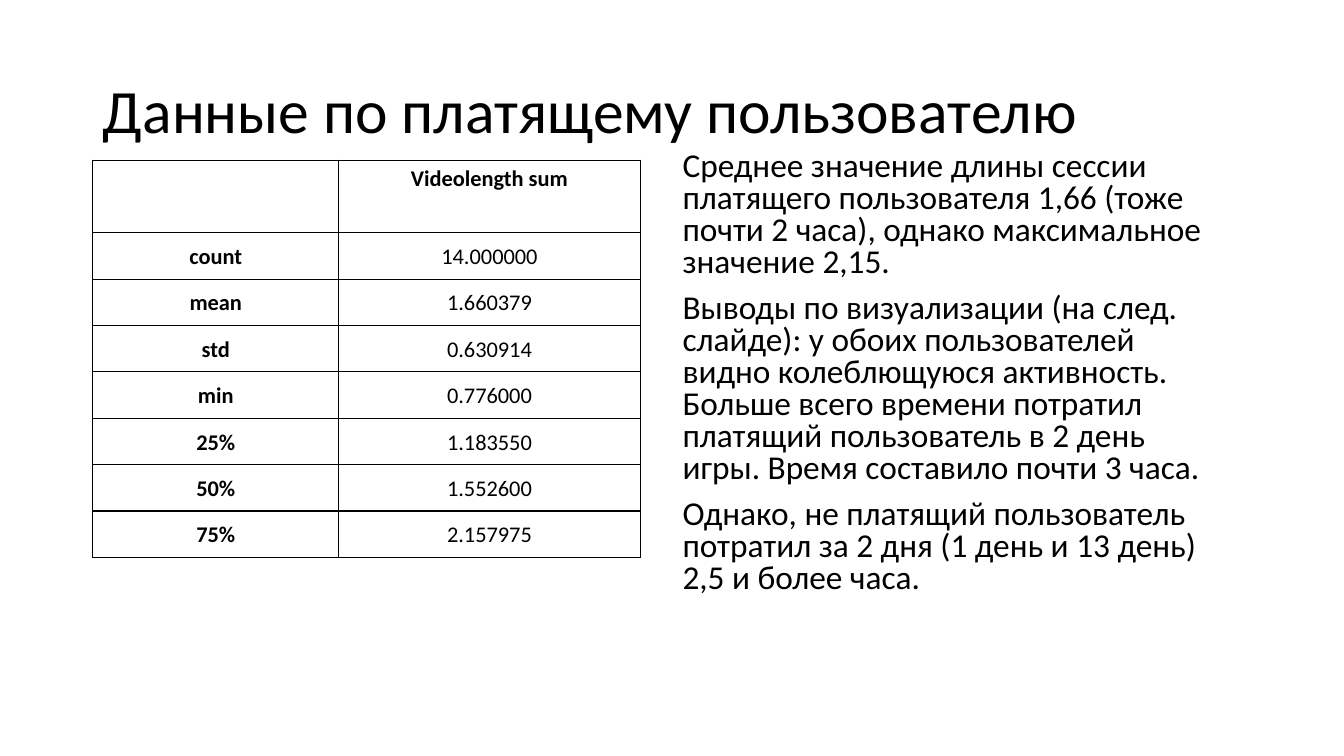
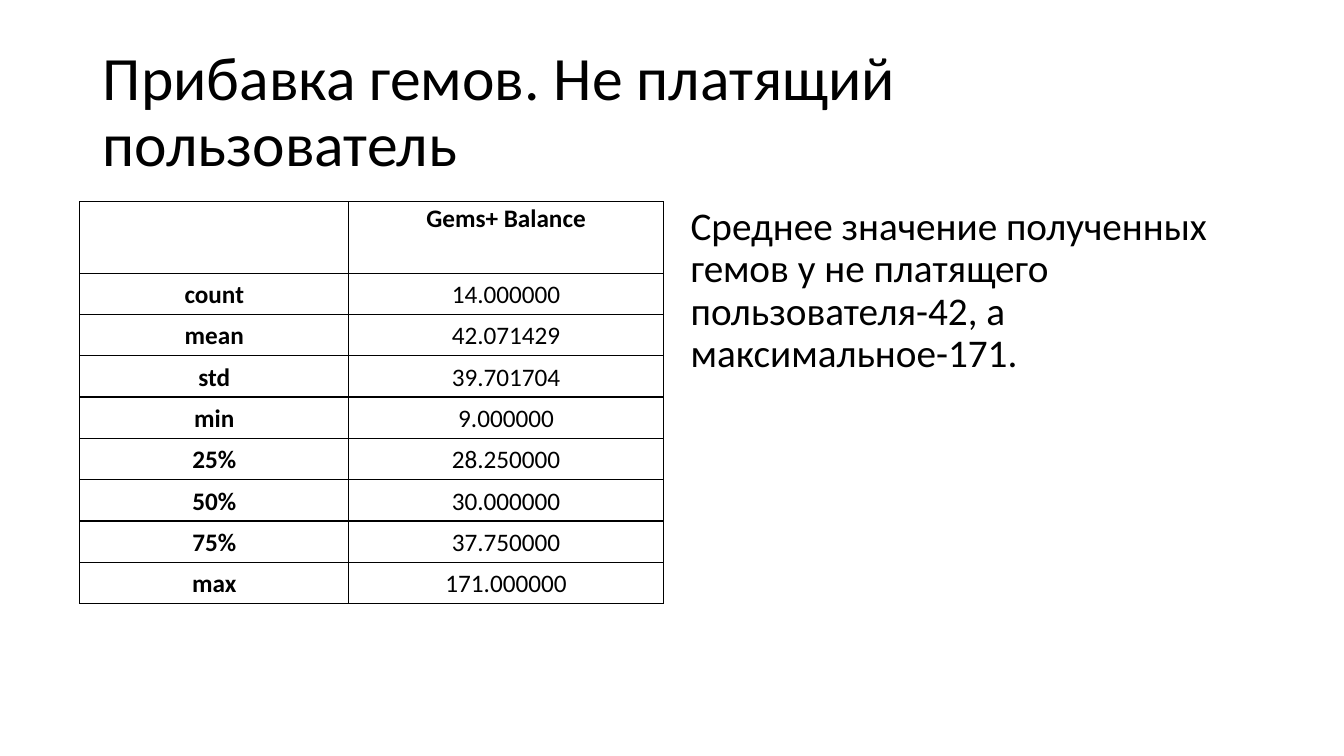
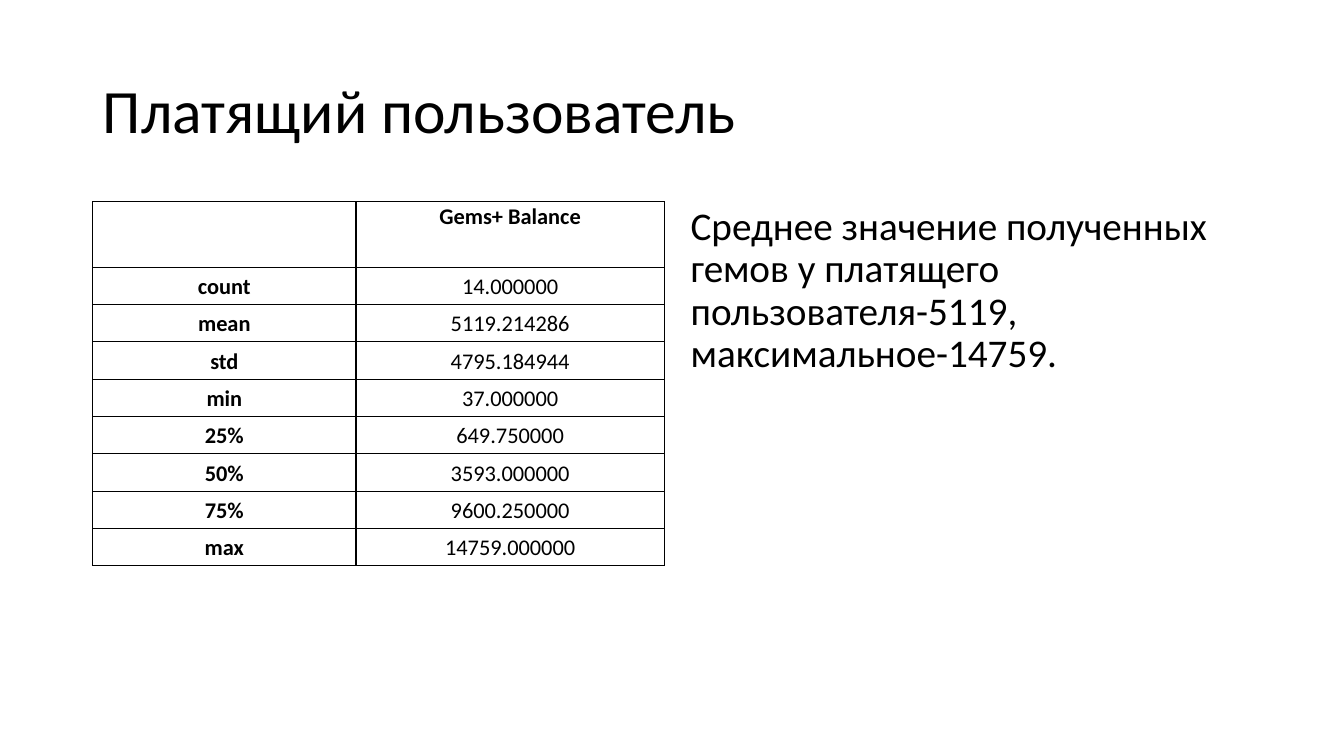
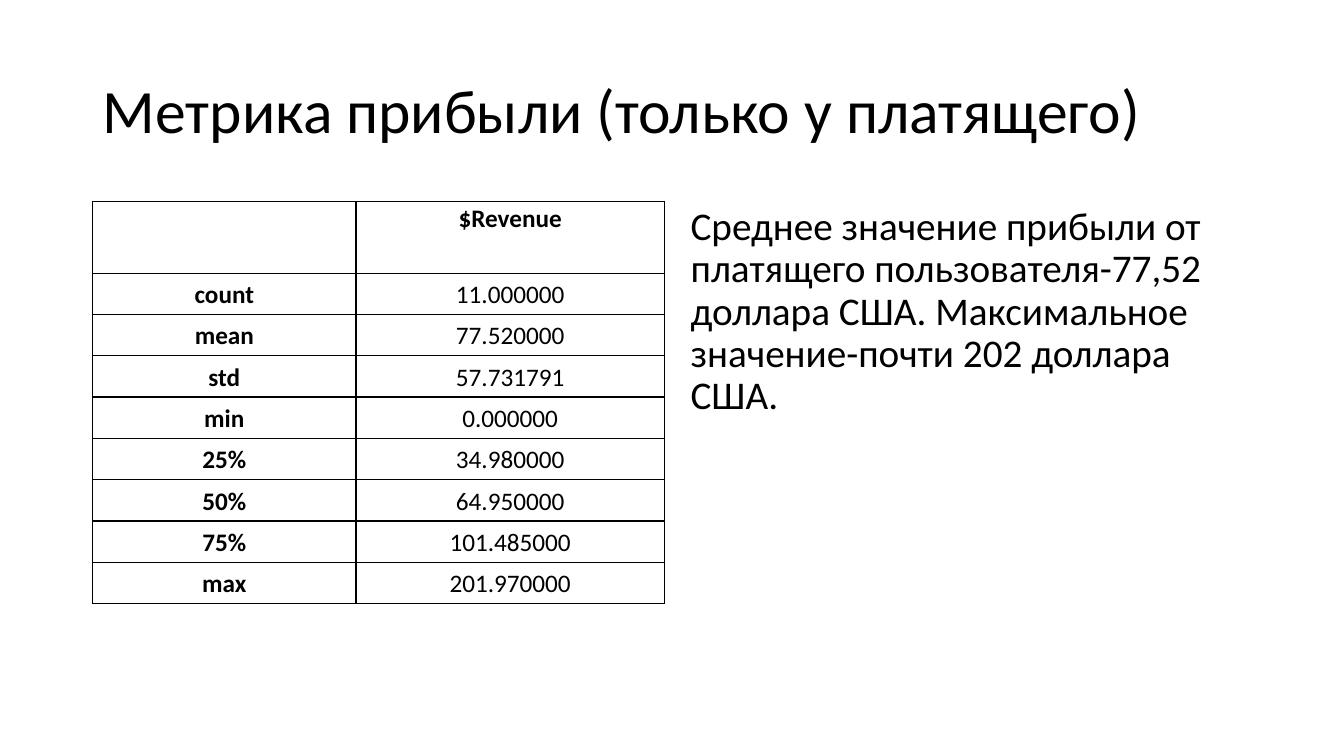
from dataclasses import dataclass

from lxml import etree
from pptx import Presentation
from pptx import util as u
from pptx.dml.color import RGBColor
from pptx.enum import text
from pptx.oxml.ns import qn

PX = u.Inches(1) // 100


@dataclass(frozen=True)
class Theme:
    font: str = "Calibri"
    ink: RGBColor = RGBColor(0, 0, 0)
    paper: RGBColor = RGBColor(255, 255, 255)
    title_size: float = 44
    body_size: float = 28
    small_body_size: float = 23.8
    table_size: float = 18
    small_table_size: float = 16
    line_spacing: float = 0.9
    tight_spacing: float = 0.8
    cell_spacing: float = 1.07
    paragraph_gap: float = 10
    border: float = 1


THEME = Theme()
TITLE_BOX = (92, 40, 1150, 145)
BODY_BOX = (675, 200, 567, 476)
LABELS = ("count", "mean", "std", "min", "25%", "50%", "75%", "max")


class Deck:
    def __init__(self, theme):
        self.theme = theme
        self.presentation = Presentation()
        self.presentation.slide_width = 1333 * PX
        self.presentation.slide_height = 750 * PX
        self.slide = None

    def style_font(self, paragraph, size, bold=False):
        for run in paragraph.runs:
            font = run.font
            font.name, font.size, font.bold = self.theme.font, u.Pt(size), bold
            font.color.rgb = self.theme.ink

    def fill_placeholder(self, shape, box, paragraphs, size, spacing, anchor):
        shape.left, shape.top, shape.width, shape.height = (n * PX for n in box)
        frame = shape.text_frame
        frame.text = "\n".join(paragraphs)
        frame.word_wrap = True
        frame.auto_size = text.MSO_AUTO_SIZE.NONE
        frame.vertical_anchor = anchor
        for index, paragraph in enumerate(frame.paragraphs):
            properties = paragraph._p.get_or_add_pPr()
            properties.set("marL", "0")
            properties.set("indent", "0")
            etree.SubElement(properties, qn("a:buNone"))
            paragraph.alignment = text.PP_ALIGN.LEFT
            paragraph.line_spacing = spacing
            paragraph.space_before = u.Pt(self.theme.paragraph_gap if index else 0)
            self.style_font(paragraph, size)

    def add_slide(self, title):
        layout = self.presentation.slide_layouts[1]
        self.slide = self.presentation.slides.add_slide(layout)
        self.fill_placeholder(self.slide.shapes.title, TITLE_BOX, [title],
                              self.theme.title_size, self.theme.line_spacing,
                              text.MSO_ANCHOR.MIDDLE)

    def add_body(self, paragraphs, box=BODY_BOX, size=None, spacing=None):
        self.fill_placeholder(self.slide.placeholders[1], box, paragraphs,
                              size or self.theme.body_size,
                              spacing or self.theme.line_spacing,
                              text.MSO_ANCHOR.TOP)

    def add_borders(self, cell):
        properties = cell._tc.get_or_add_tcPr()
        for index, side in enumerate(("lnL", "lnR", "lnT", "lnB")):
            line = etree.Element(qn(f"a:{side}"), w=str(u.Pt(self.theme.border)))
            fill = etree.SubElement(line, qn("a:solidFill"))
            etree.SubElement(fill, qn("a:srgbClr"), val=str(self.theme.ink))
            properties.insert(index, line)

    def style_cell(self, cell, value, size, bold, header, insets):
        cell.text = value
        cell.fill.solid()
        cell.fill.fore_color.rgb = self.theme.paper
        across, down = insets
        cell.margin_left = cell.margin_right = across * PX
        cell.margin_top = cell.margin_bottom = down * PX
        anchors = text.MSO_ANCHOR
        cell.vertical_anchor = anchors.TOP if header else anchors.MIDDLE
        paragraph = cell.text_frame.paragraphs[0]
        paragraph.alignment = text.PP_ALIGN.CENTER
        paragraph.line_spacing = 1.0 if header else self.theme.cell_spacing
        self.style_font(paragraph, size, bold)
        self.add_borders(cell)

    def add_statistics(self, heading, values, origin, columns, heights, size,
                       header_insets=(5, 2), inset=4):
        """Table of labelled values; heights are those of the header and other rows."""
        rows = [("", heading), *zip(LABELS, values)]
        row_heights = [heights[0]] + [heights[1]] * len(values)
        left, top = origin
        frame = self.slide.shapes.add_table(
            len(rows), 2, left * PX, top * PX,
            sum(columns) * PX, sum(row_heights) * PX)
        table = frame.table
        table.first_row = table.horz_banding = False
        for column, width in zip(table.columns, columns):
            column.width = width * PX
        for row_index, row in enumerate(rows):
            header = row_index == 0
            table.rows[row_index].height = row_heights[row_index] * PX
            for column_index, value in enumerate(row):
                self.style_cell(table.cell(row_index, column_index), value, size,
                                header or column_index == 0, header,
                                header_insets if header else (inset, inset))


def main():
    deck = Deck(THEME)

    deck.add_slide("Данные по платящему пользователю")
    deck.add_statistics(
        "Videolength sum",
        ("14.000000", "1.660379", "0.630914", "0.776000", "1.183550",
         "1.552600", "2.157975"),
        (92, 159), (244, 299), (72, 46), THEME.small_table_size,
        header_insets=(10, 5), inset=8)
    deck.add_body(
        ["Среднее значение длины сессии платящего пользователя 1,66 "
         "(тоже почти 2 часа), однако максимальное значение 2,15.",
         "Выводы по визуализации (на след. слайде): у обоих пользователей "
         "видно колеблющуюся активность. Больше всего времени потратил "
         "платящий пользователь в 2 день игры. Время составило почти 3 часа.",
         "Однако, не платящий пользователь потратил за 2 дня "
         "(1 день и 13 день) 2,5 и более часа."],
        (667, 146, 556, 476), THEME.small_body_size, THEME.tight_spacing)

    deck.add_slide("Прибавка гемов. Не платящий пользователь")
    deck.add_statistics(
        "Gems+ Balance",
        ("14.000000", "42.071429", "39.701704", "9.000000", "28.250000",
         "30.000000", "37.750000", "171.000000"),
        (79, 200), (267, 312), (71, 41), THEME.table_size)
    deck.add_body(["Среднее значение полученных гемов у не платящего "
                   "пользователя-42, а максимальное-171."])

    deck.add_slide("Платящий пользователь")
    deck.add_statistics(
        "Gems+ Balance",
        ("14.000000", "5119.214286", "4795.184944", "37.000000", "649.750000",
         "3593.000000", "9600.250000", "14759.000000"),
        (92, 200), (261, 306), (65, 37), THEME.small_table_size)
    deck.add_body(["Среднее значение полученных гемов у платящего "
                   "пользователя-5119, максимальное-14759."])

    deck.add_slide("Метрика прибыли (только у платящего)")
    deck.add_statistics(
        "$Revenue",
        ("11.000000", "77.520000", "57.731791", "0.000000", "34.980000",
         "64.950000", "101.485000", "201.970000"),
        (92, 200), (261, 306), (71, 41), THEME.table_size)
    deck.add_body(["Среднее значение прибыли от платящего пользователя-77,52 "
                   "доллара США. Максимальное значение-почти 202 доллара США."])

    deck.presentation.save("out.pptx")


if __name__ == "__main__":
    main()
